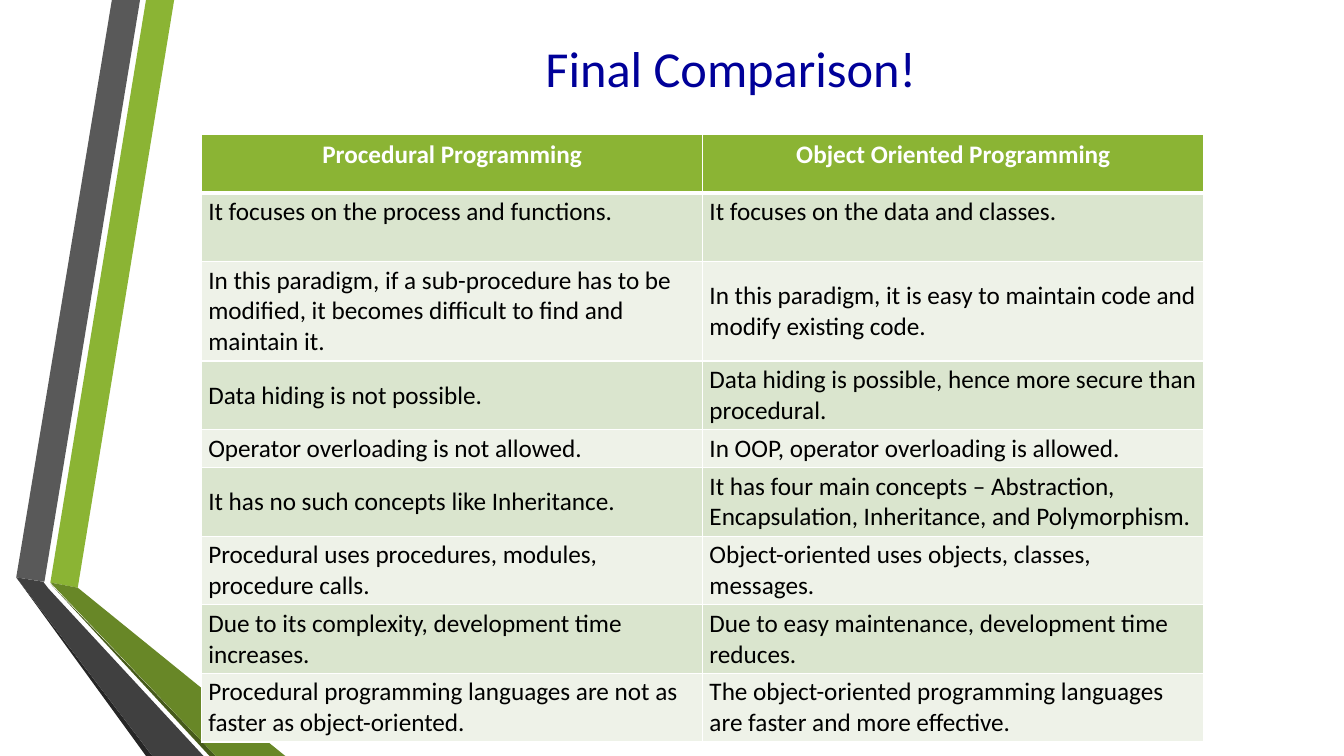
"""Build a slide comparing procedural and object-oriented programming."""
from dataclasses import dataclass

import lxml.etree
import pptx
import pptx.dml.color
import pptx.enum.text
import pptx.oxml.ns
import pptx.slide
import pptx.table
import pptx.text.text
import pptx.util

Cm = pptx.util.Cm
RGBColor = pptx.dml.color.RGBColor
Align = pptx.enum.text.PP_ALIGN
Anchor = pptx.enum.text.MSO_ANCHOR

WHITE = RGBColor(0xFF, 0xFF, 0xFF)
BLACK = RGBColor(0x00, 0x00, 0x00)
NAVY = RGBColor(0x00, 0x00, 0x99)
GREEN = RGBColor(0x8B, 0xB4, 0x34)
GREEN_SHADE = RGBColor(0x68, 0x87, 0x27)
GREEN_EDGE = RGBColor(0x46, 0x5A, 0x1A)
GREY = RGBColor(0x59, 0x59, 0x59)
GREY_SHADE = RGBColor(0x40, 0x40, 0x40)
GREY_EDGE = RGBColor(0x26, 0x26, 0x26)
ROW_FILLS = (RGBColor(0xDA, 0xE5, 0xCE), RGBColor(0xEE, 0xF2, 0xE8))

SLIDE_WIDTH, SLIDE_HEIGHT = 33.87, 19.05
COLUMN_WIDTH = 12.63


@dataclass
class Band:
    """One flat piece of the folded ribbon, with points in centimetres."""
    color: RGBColor
    points: list[tuple[float, float]]


@dataclass
class Comparison:
    """One table row below the header."""
    procedural: str
    object_oriented: str
    height: float = 1.73
    anchor: Anchor = Anchor.MIDDLE


BANDS = [
    Band(GREEN, [(1.27, 14.68), (1.96, 14.81), (4.39, 0), (3.68, 0)]),
    Band(GREY, [(3.53, 0), (2.82, 0), (0.41, 14.55), (1.12, 14.66)]),
    Band(GREY_EDGE, [(0.41, 14.55), (3.68, SLIDE_HEIGHT), (3.84, SLIDE_HEIGHT)]),
    Band(GREEN_EDGE, [(1.27, 14.71), (5.28, SLIDE_HEIGHT), (5.44, SLIDE_HEIGHT)]),
    Band(GREEN_SHADE, [(1.27, 14.68), (5.44, SLIDE_HEIGHT), (7.19, SLIDE_HEIGHT), (1.96, 14.81)]),
    Band(GREY_SHADE, [(5.13, SLIDE_HEIGHT), (1.22, 14.83), (1.09, 14.66),
                      (0.41, 14.55), (3.84, SLIDE_HEIGHT)]),
]

HEADINGS = ("Procedural Programming", "Object Oriented Programming")
COMPARISONS = [
    Comparison("It focuses on the process and functions.",
               "It focuses on the data and classes.", anchor=Anchor.TOP),
    Comparison("In this paradigm, if a sub-procedure has to be modified, "
               "it becomes difficult to find and maintain it.",
               "In this paradigm, it is easy to maintain code and modify existing code.",
               height=2.51),
    Comparison("Data hiding is not possible.",
               "Data hiding is possible, hence more secure than procedural."),
    Comparison("Operator overloading is not allowed.",
               "In OOP, operator overloading is allowed.", height=0.95),
    Comparison("It has no such concepts like Inheritance.",
               "It has four main concepts – Abstraction, Encapsulation, "
               "Inheritance, and Polymorphism."),
    Comparison("Procedural uses procedures, modules, procedure calls.",
               "Object-oriented uses objects, classes, messages."),
    Comparison("Due to its complexity, development time increases.",
               "Due to easy maintenance, development time reduces."),
    Comparison("Procedural programming languages are not as faster as object-oriented.",
               "The object-oriented programming languages are faster and more effective."),
]


def write_text(frame: pptx.text.text.TextFrame, text: str, *, size: float = 18,
               color: RGBColor = BLACK, bold: bool = False, align: Align = Align.LEFT) -> None:
    """Write one formatted paragraph into a text frame."""
    paragraph = frame.paragraphs[0]
    paragraph.alignment = align
    run = paragraph.add_run()
    run.text = text
    run.font.name = "Calibri"
    run.font.size = pptx.util.Pt(size)
    run.font.bold = bold
    run.font.color.rgb = color


def draw_band(slide: pptx.slide.Slide, band: Band) -> None:
    """Draw one ribbon piece as a filled outline."""
    points = [(Cm(x), Cm(y)) for x, y in band.points]
    builder = slide.shapes.build_freeform(*points[0])
    builder.add_line_segments(points[1:], close=True)
    shape = builder.convert_to_shape()
    shape.shadow.inherit = False
    shape.fill.solid()
    shape.fill.fore_color.rgb = band.color
    shape.line.fill.background()


def style_cell(cell: pptx.table._Cell, fill: RGBColor, top: float = 1, bottom: float = 1) -> None:
    """Give a cell white borders, in points, and a solid fill."""
    properties = cell._tc.get_or_add_tcPr()
    qualified = pptx.oxml.ns.qn
    for side, width in (("L", 1), ("R", 1), ("T", top), ("B", bottom)):
        line = lxml.etree.SubElement(properties, qualified(f"a:ln{side}"), w=str(pptx.util.Pt(width)))
        solid = lxml.etree.SubElement(line, qualified("a:solidFill"))
        lxml.etree.SubElement(solid, qualified("a:srgbClr"), val=str(WHITE))
    cell.fill.solid()
    cell.fill.fore_color.rgb = fill


def draw_table(slide: pptx.slide.Slide) -> None:
    """Draw the comparison table with its header."""
    heights = [1.47] + [comparison.height for comparison in COMPARISONS]
    table = slide.shapes.add_table(len(heights), len(HEADINGS), Cm(5.08), Cm(3.39),
                                   Cm(COLUMN_WIDTH * len(HEADINGS)), Cm(sum(heights))).table
    for column in table.columns:
        column.width = Cm(COLUMN_WIDTH)
    for row, height in zip(table.rows, heights):
        row.height = Cm(height)
    for cell, heading in zip(table.rows[0].cells, HEADINGS):
        style_cell(cell, GREEN, bottom=3)
        write_text(cell.text_frame, heading, color=WHITE, bold=True, align=Align.CENTER)
    for index, comparison in enumerate(COMPARISONS):
        texts = (comparison.procedural, comparison.object_oriented)
        for cell, text in zip(table.rows[index + 1].cells, texts):
            style_cell(cell, ROW_FILLS[index % 2], top=1 if index else 3)
            cell.margin_left = cell.margin_right = Cm(0.17)
            cell.margin_top = cell.margin_bottom = Cm(0.08)
            cell.vertical_anchor = comparison.anchor
            write_text(cell.text_frame, text)


def main() -> None:
    """Build and save the presentation."""
    presentation = pptx.Presentation()
    presentation.slide_width, presentation.slide_height = Cm(SLIDE_WIDTH), Cm(SLIDE_HEIGHT)
    slide = presentation.slides.add_slide(presentation.slide_layouts[6])
    for band in BANDS:
        draw_band(slide, band)
    title = slide.shapes.add_textbox(Cm(4.5), Cm(0.95), Cm(27.84), Cm(1.5)).text_frame
    title.word_wrap = True
    title.vertical_anchor = Anchor.MIDDLE
    write_text(title, "Final Comparison!", size=36, color=NAVY, align=Align.CENTER)
    draw_table(slide)
    presentation.save("out.pptx")


if __name__ == "__main__":
    main()
